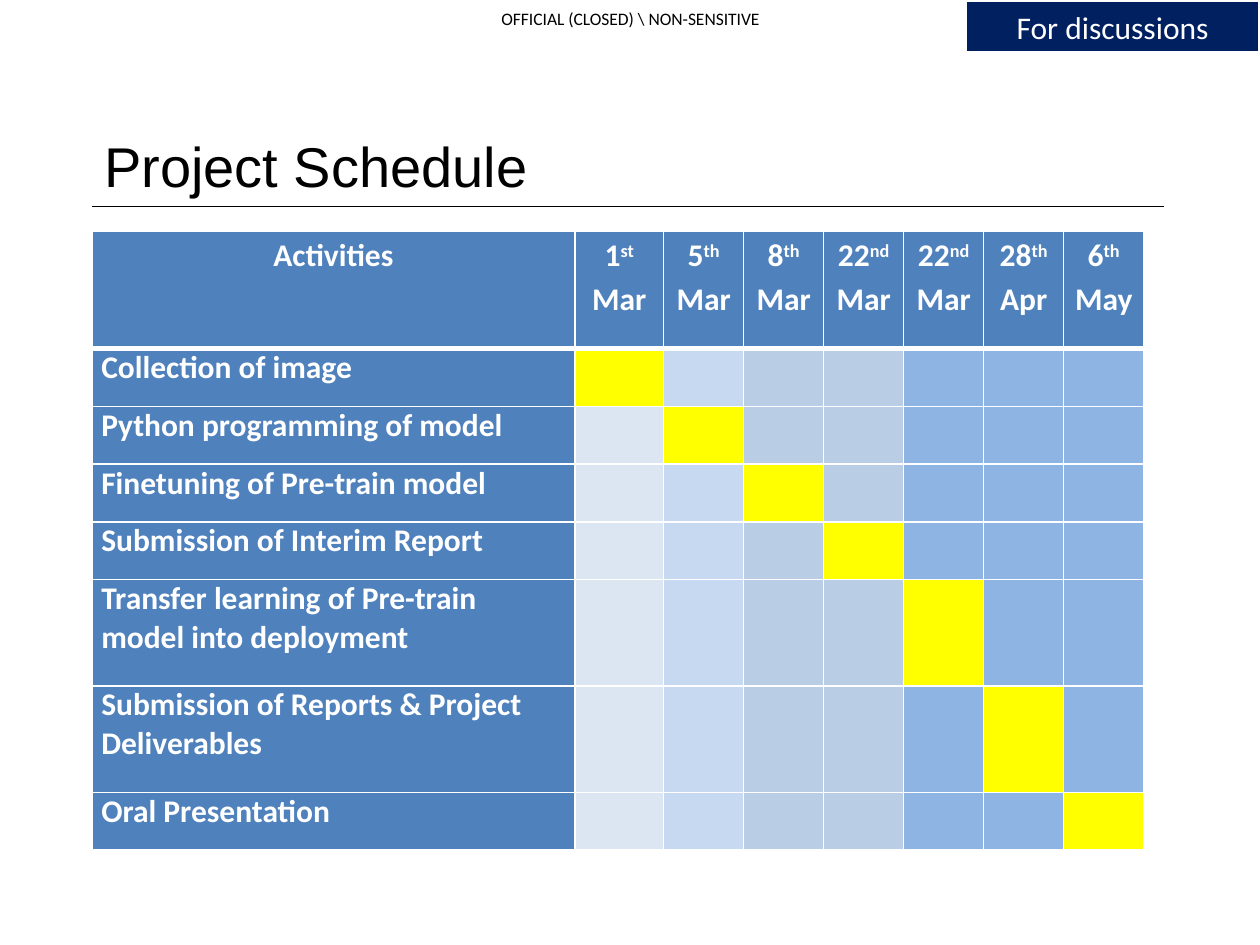
from lxml import etree
from pptx import Presentation
from pptx.dml.color import RGBColor
from pptx.enum.shapes import MSO_CONNECTOR, MSO_SHAPE
from pptx.enum.text import MSO_ANCHOR, PP_ALIGN
from pptx.oxml.ns import qn
from pptx.util import Pt

STRAIGHT = MSO_CONNECTOR.STRAIGHT
RECTANGLE = MSO_SHAPE.RECTANGLE
MIDDLE = MSO_ANCHOR.MIDDLE
LEFT, CENTER = PP_ALIGN.LEFT, PP_ALIGN.CENTER

BLACK = RGBColor(0x00, 0x00, 0x00)
WHITE = RGBColor(0xFF, 0xFF, 0xFF)
NAVY = RGBColor(0x00, 0x20, 0x60)
BLUE = RGBColor(0x4F, 0x81, 0xBD)
YELLOW = RGBColor(0xFF, 0xFF, 0x00)
PALE = RGBColor(0xDC, 0xE6, 0xF2)
LIGHT = RGBColor(0xC6, 0xD9, 0xF1)
SOFT = RGBColor(0xB9, 0xCD, 0xE5)
MEDIUM = RGBColor(0x8E, 0xB4, 0xE3)

DATES = [
    ("1", "st", "Mar"), ("5", "th", "Mar"), ("8", "th", "Mar"), ("22", "nd", "Mar"),
    ("22", "nd", "Mar"), ("28", "th", "Apr"), ("6", "th", "May"),
]
DATE_FILLS = [PALE, LIGHT, SOFT, SOFT, MEDIUM, MEDIUM, MEDIUM]
# Each activity falls on the date in the same position.
ACTIVITIES = [
    ("Collection of image", 33),
    ("Python programming of model", 33),
    ("Finetuning of Pre-train model", 33),
    ("Submission of Interim Report", 33),
    ("Transfer learning of Pre-train model into deployment", 60.75),
    ("Submission of Reports & Project Deliverables", 60.75),
    ("Oral Presentation", 33),
]
HEADER_HEIGHT = 67.25
COLUMN_WIDTHS = [276, 50.75] + [45.75] * 6


def style_font(font, name, size, color, bold=False):
    font.name, font.size, font.bold = name, Pt(size), bold
    font.color.rgb = color


def write_line(frame, text, name, size, color, align):
    frame.word_wrap = True
    frame.vertical_anchor = MIDDLE
    frame.text = text
    para = frame.paragraphs[0]
    para.alignment = align
    style_font(para.runs[0].font, name, size, color)


def add_label(page, box, text, name, size, align, inset):
    frame = page.shapes.add_textbox(*map(Pt, box)).text_frame
    frame.margin_left = frame.margin_right = Pt(inset)
    frame.margin_top = frame.margin_bottom = Pt(inset / 2)
    write_line(frame, text, name, size, BLACK, align)


def add_badge(page, box):
    badge = page.shapes.add_shape(RECTANGLE, *map(Pt, box))
    badge.shadow.inherit = False
    badge.fill.solid()
    badge.fill.fore_color.rgb = NAVY
    badge.line.color.rgb = WHITE
    badge.line.width = Pt(2)
    write_line(badge.text_frame, "For discussions", "Calibri", 18, WHITE, CENTER)


def add_rule(page, left, top, right):
    rule = page.shapes.add_connector(STRAIGHT, Pt(left), Pt(top), Pt(right), Pt(top))
    rule.line.color.rgb = BLACK
    rule.line.width = Pt(0.25)
    etree.SubElement(rule._element.spPr, qn("a:effectLst"))


def style_cell(cell, fill, bottom_width=1):
    """Give the cell white borders and a fill; borders precede the fill in the XML."""
    props = cell._tc.get_or_add_tcPr()
    for side, width in (("L", 1), ("R", 1), ("T", 1), ("B", bottom_width)):
        border = etree.SubElement(props, qn(f"a:ln{side}"), w=str(Pt(width)))
        solid = etree.SubElement(border, qn("a:solidFill"))
        etree.SubElement(solid, qn("a:srgbClr"), val=str(WHITE))
    cell.fill.solid()
    cell.fill.fore_color.rgb = fill


def write_cell(cell, parts, align, spacing):
    """Write the parts as runs, raising every second one."""
    cell.margin_left = cell.margin_right = Pt(5.4)
    cell.margin_top = cell.margin_bottom = 0
    para = cell.text_frame.paragraphs[0]
    para.alignment = align
    para.line_spacing = spacing
    for index, part in enumerate(parts):
        span = para.add_run()
        span.text = part
        style_font(span.font, "Calibri", 18, WHITE, bold=True)
        if index == 1:
            span.font._element.set("baseline", "30000")


def add_schedule(page, left, top):
    heights = [HEADER_HEIGHT] + [height for _, height in ACTIVITIES]
    frame = page.shapes.add_table(
        len(heights), len(COLUMN_WIDTHS),
        Pt(left), Pt(top), Pt(sum(COLUMN_WIDTHS)), Pt(sum(heights)),
    )
    table = frame.table
    table.horz_banding = False
    for column, width in zip(table.columns, COLUMN_WIDTHS):
        column.width = Pt(width)
    for row, height in zip(table.rows, heights):
        row.height = Pt(height)

    headings = [("Activities",)] + [(day, suffix, f" {month}") for day, suffix, month in DATES]
    for column, parts in enumerate(headings):
        cell = table.cell(0, column)
        style_cell(cell, BLUE, bottom_width=3)
        write_cell(cell, parts, CENTER, 1.15)

    for row, (activity, _) in enumerate(ACTIVITIES, start=1):
        style_cell(table.cell(row, 0), BLUE)
        write_cell(table.cell(row, 0), (activity,), LEFT, 1.0)
        for column, fill in enumerate(DATE_FILLS, start=1):
            style_cell(table.cell(row, column), YELLOW if column == row else fill)


def main():
    deck = Presentation()
    deck.slide_width, deck.slide_height = Pt(720), Pt(540)
    page = deck.slides.add_slide(deck.slide_layouts[6])
    add_label(page, (273.5, 0, 173.5, 21), "OFFICIAL (CLOSED) \\ NON-SENSITIVE",
              "Calibri", 10, CENTER, inset=0)
    add_rule(page, 52.5, 118, 665)
    add_badge(page, (551.75, 0.25, 168, 30))
    add_label(page, (52.5, 70.5, 587, 47.5), "Project Schedule", "Arial", 32, LEFT, inset=7.2)
    add_schedule(page, 52.5, 132)
    deck.save("out.pptx")


if __name__ == "__main__":
    main()
